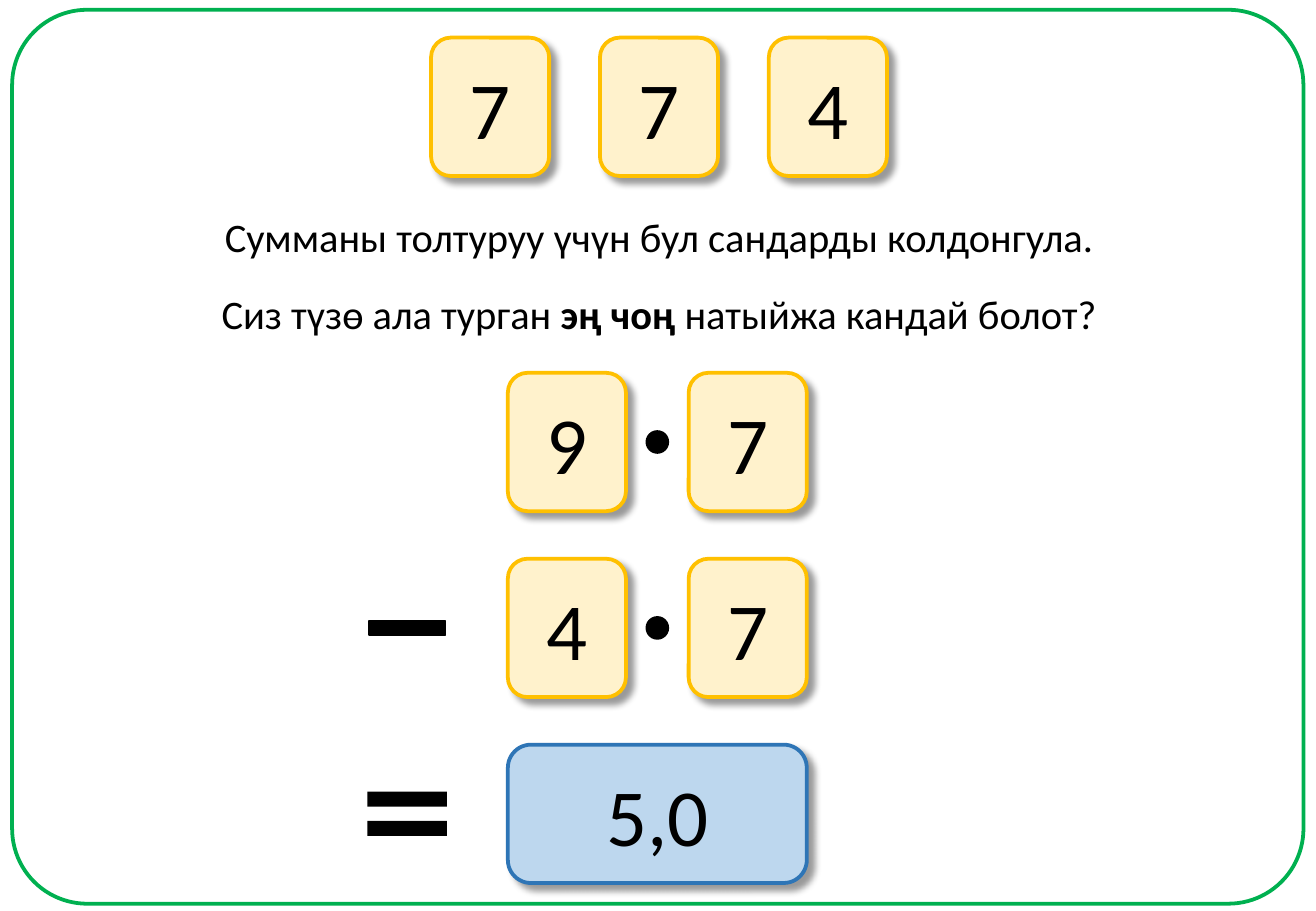
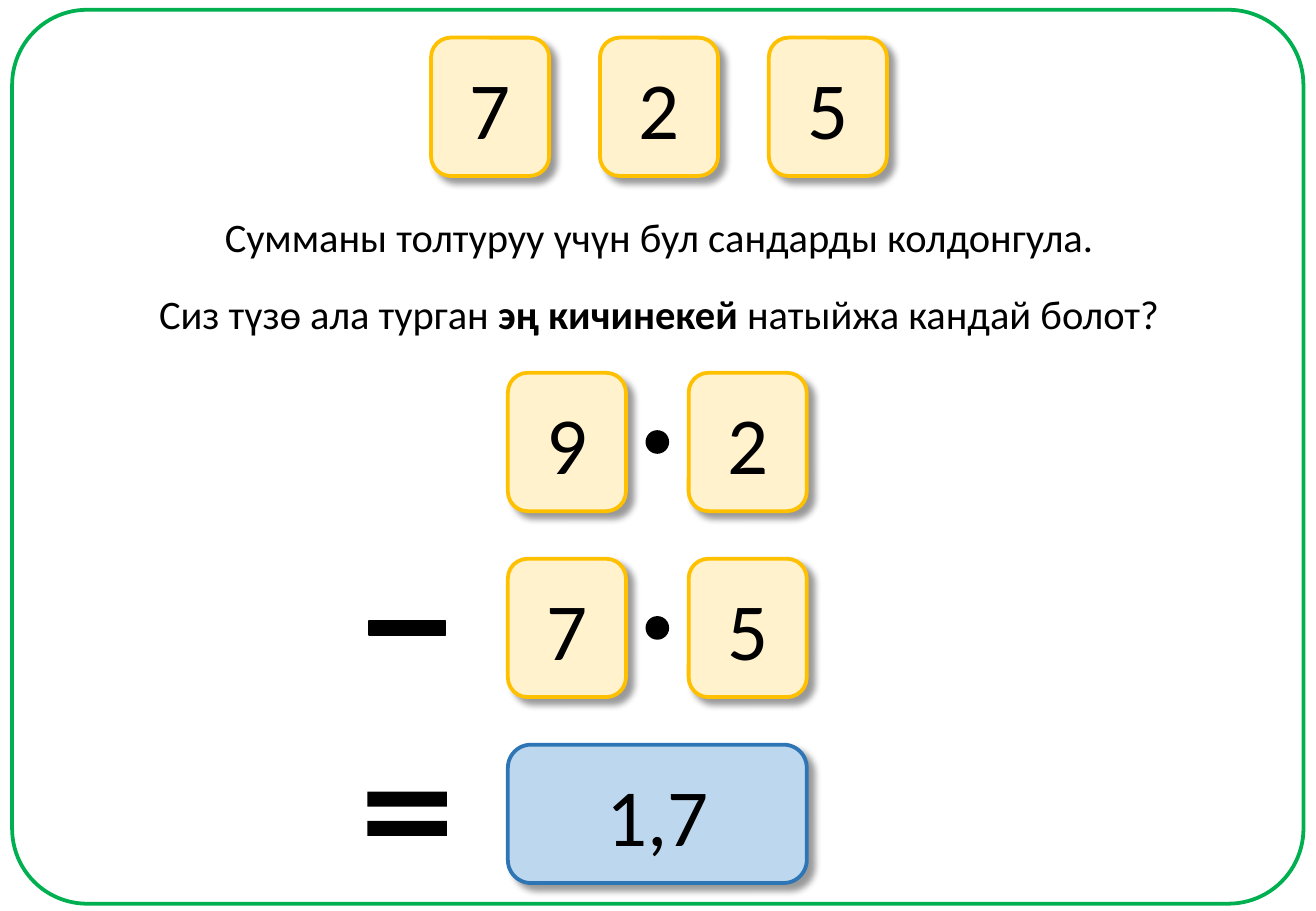
from lxml import etree
from pptx import Presentation
from pptx.dml.color import RGBColor
from pptx.enum.shapes import MSO_SHAPE
from pptx.enum.text import MSO_ANCHOR, MSO_AUTO_SIZE, PP_ALIGN
from pptx.oxml.ns import qn
from pptx.util import Pt

ROUNDED, OVAL = MSO_SHAPE.ROUNDED_RECTANGLE, MSO_SHAPE.OVAL
MINUS, EQUAL = MSO_SHAPE.MATH_MINUS, MSO_SHAPE.MATH_EQUAL
CENTER, MIDDLE = PP_ALIGN.CENTER, MSO_ANCHOR.MIDDLE
FIT_SHAPE = MSO_AUTO_SIZE.SHAPE_TO_FIT_TEXT

BLACK = RGBColor(0x00, 0x00, 0x00)
GREEN = RGBColor(0x00, 0xB0, 0x50)
CREAM = RGBColor(0xFF, 0xF2, 0xCC)
GOLD = RGBColor(0xFF, 0xC0, 0x00)
PALE_BLUE = RGBColor(0xBD, 0xD7, 0xEE)
BLUE = RGBColor(0x2E, 0x75, 0xB6)

# Layout in points
SLIDE_W, SLIDE_H = 780, 540
MID_X = 390.6
CARD_W, CARD_H = 70, 82
GIVEN_TOP, GIVEN_STEP = 22.3, 100.1
ROW_TOP, ROW_STEP = 221, 110.2
FACTOR_STEP = 107.2
ANSWER_W = FACTOR_STEP + CARD_W
ANSWER_LEFT = MID_X - 1 - ANSWER_W / 2
DOT = 13
SIGN_X = 241.3

INSTRUCTION = "Сумманы толтуруу үчүн бул сандарды колдонгула."

# Given digits, emphasised words, question width, factor rows, result
PUZZLES = [
    ("774", "эң чоң ", 536.4, ("97", "47"), "5,0"),
    ("725", "эң кичинекей ", 609.1, ("92", "75"), "1,7"),
]


class PuzzleDeck:
    """Holds the shared style and the slide being built."""

    card_text = dict(size=Pt(48), name="Calibri")
    body_text = dict(size=Pt(24), name="Calibri")
    card_frame = dict(vertical_anchor=MIDDLE, margin_left=Pt(7.9), margin_right=Pt(7.9),
                      margin_top=Pt(3.6), margin_bottom=Pt(3.6), word_wrap=True)

    def __init__(self):
        self.prs = Presentation()
        self.prs.slide_width, self.prs.slide_height = Pt(SLIDE_W), Pt(SLIDE_H)

    def new_slide(self):
        self.slide = self.prs.slides.add_slide(self.prs.slide_layouts[6])
        self.shape(ROUNDED, 7.2, 5.8, 765.4, 529.9, None, GREEN, adjust=[0.084])

    def shape(self, kind, left, top, width, height, fill, line=None, line_w=2.25, adjust=()):
        shape = self.slide.shapes.add_shape(kind, Pt(left), Pt(top), Pt(width), Pt(height))
        shape.shadow.inherit = False
        for i, value in enumerate(adjust):
            shape.adjustments[i] = value
        for paint, color in ((shape.fill, fill), (shape.line.fill, line)):
            if color is None:
                paint.background()
            else:
                paint.solid()
                paint.fore_color.rgb = color
        if line is not None:
            shape.line.width = Pt(line_w)
        return shape

    def drop_shadow(self, shape):
        effects = shape._element.spPr.find(qn("a:effectLst"))
        shadow = etree.SubElement(effects, qn("a:outerShdw"), blurRad=str(Pt(4)), dist=str(Pt(5)),
                                  dir="2700000", algn="tl", rotWithShape="0")
        color = etree.SubElement(shadow, qn("a:srgbClr"), val=str(BLACK))
        etree.SubElement(color, qn("a:alpha"), val="40000")

    def run(self, paragraph, text, style, bold=None):
        run = paragraph.add_run()
        run.text = text
        for key, value in dict(style, bold=bold).items():
            setattr(run.font, key, value)
        run.font.color.rgb = BLACK

    def card(self, text, left, top, width=CARD_W, fill=CREAM, line=GOLD):
        card = self.shape(ROUNDED, left, top, width, CARD_H, fill, line)
        self.drop_shadow(card)
        for key, value in self.card_frame.items():
            setattr(card.text_frame, key, value)
        paragraph = card.text_frame.paragraphs[0]
        paragraph.alignment = CENTER
        self.run(paragraph, text, self.card_text)

    def sentence(self, top, width, *parts):
        """Centred line of text; each part is (text, bold)."""
        box = self.slide.shapes.add_textbox(Pt(MID_X - width / 2), Pt(top), Pt(width), Pt(36.4))
        box.text_frame.word_wrap = False
        box.text_frame.auto_size = FIT_SHAPE
        paragraph = box.text_frame.paragraphs[0]
        paragraph.alignment = CENTER
        for text, bold in parts:
            self.run(paragraph, text, self.body_text, bold)

    def sign(self, kind, row, width, height, adjust, line=None):
        middle = ROW_TOP + row * ROW_STEP + CARD_H / 2
        self.shape(kind, SIGN_X - width / 2, middle - height / 2, width, height,
                   BLACK, line, 1, adjust)

    def product(self, row, factors):
        top = ROW_TOP + row * ROW_STEP
        for i, digit in enumerate(factors):
            self.card(digit, ANSWER_LEFT + i * FACTOR_STEP, top)
        self.shape(OVAL, ANSWER_LEFT + (ANSWER_W - DOT) / 2, top + (CARD_H - DOT) / 2,
                   DOT, DOT, BLACK, BLACK, 1)


def main():
    deck = PuzzleDeck()
    for given, emphasis, question_w, products, result in PUZZLES:
        deck.new_slide()

        # Task
        deck.sentence(122.4, 534.2, (INSTRUCTION, False))
        deck.sentence(167.8, question_w, ("Сиз түзө ала турган ", False), (emphasis, True),
                      ("натыйжа кандай болот?", False))

        # Given digits
        for i, digit in enumerate(given):
            deck.card(digit, MID_X - CARD_W / 2 + (i - 1) * GIVEN_STEP, GIVEN_TOP)

        # Calculation
        for row, factors in enumerate(products):
            deck.product(row, factors)
        deck.card(result, ANSWER_LEFT, ROW_TOP + 2 * ROW_STEP, ANSWER_W, PALE_BLUE, BLUE)
        deck.sign(MINUS, 1, 61.9, 61.9, [0.132], BLACK)
        deck.sign(EQUAL, 2, 64.1, 72, [0.123, 0.118])
    deck.prs.save("out.pptx")


if __name__ == "__main__":
    main()
